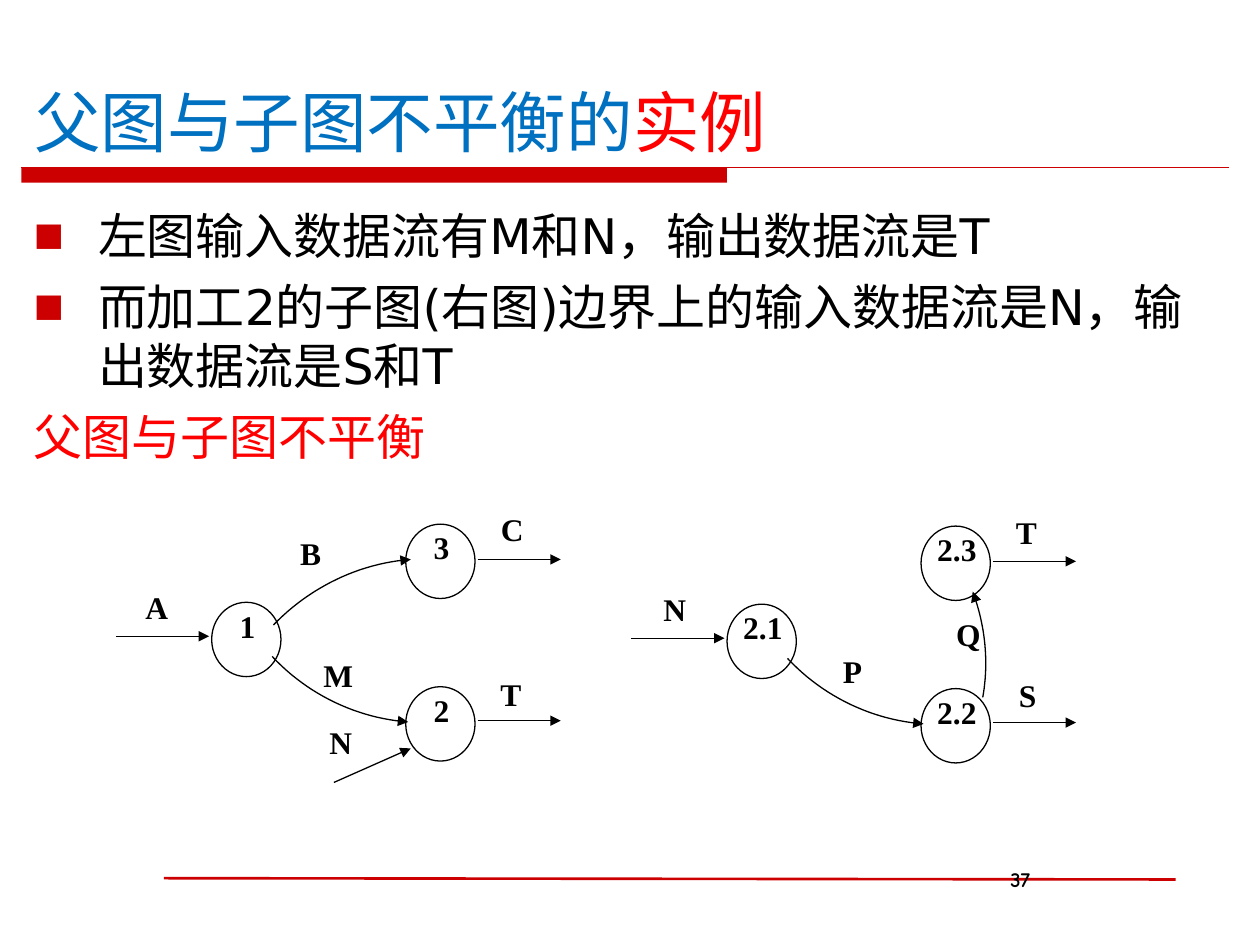
"""Build the slide on a parent diagram that does not balance with its child diagram."""
from dataclasses import dataclass

from lxml.etree import SubElement
from pptx import Presentation
from pptx.dml.color import RGBColor
from pptx.enum.shapes import MSO_CONNECTOR as Connector, MSO_SHAPE as Preset
from pptx.enum.text import MSO_ANCHOR as Anchor, PP_ALIGN as Align
from pptx.oxml.ns import qn
from pptx.util import Inches, Pt

SLIDE_W, SLIDE_H = Inches(10), Inches(7.5)
COLUMNS = 100
CELL = SLIDE_W // COLUMNS

RED = RGBColor(0xCC, 0x00, 0x00)
ACCENT = RGBColor(0xFF, 0x00, 0x00)
BLUE = RGBColor(0x00, 0x70, 0xC0)
BLACK = RGBColor(0x00, 0x00, 0x00)

TITLE_FONT, BODY_FONT = "Noto Sans CJK SC", "DejaVu Sans"
NUMBER_FONT, DIAGRAM_FONT = "Comic Neue", "Times New Roman"

Point = tuple[float, float]


@dataclass(frozen=True)
class Label:
    text: str
    corner: Point


@dataclass(frozen=True)
class Arrow:
    start: Point
    end: Point


@dataclass(frozen=True)
class Curve:
    start: Point
    bend_in: Point
    bend_out: Point
    end: Point

    def points(self, steps: int = 24) -> list[Point]:
        """Sample the cubic curve evenly."""
        controls = (self.start, self.bend_in, self.bend_out, self.end)
        sampled = []
        for step in range(steps + 1):
            t = step / steps
            weights = ((1 - t) ** 3, 3 * t * (1 - t) ** 2, 3 * t * t * (1 - t), t ** 3)
            sampled.append(tuple(sum(w * c[axis] for w, c in zip(weights, controls))
                                 for axis in (0, 1)))
        return sampled


@dataclass(frozen=True)
class Diagram:
    origin: Point
    processes: tuple[str, str, str]
    flows: tuple[Label, ...]
    curve: Curve
    arrows: tuple[Arrow, ...] = ()


PROCESS_CORNERS = ((16.8, 47.8), (32.2, 54.5), (32.2, 41.6))
SHARED_ARROWS = (Arrow((9.2, 50.5), (16.6, 50.5)),
                 Arrow((37.9, 57.2), (44.5, 57.2)),
                 Arrow((37.9, 44.4), (44.5, 44.4)))
LOWER_CURVE = Curve((21.6, 52.1), (24.5, 55.2), (28.4, 57), (32.4, 57.3))

DIAGRAMS = (
    Diagram((0, 0), ("1", "2", "3"),
            (Label("A", (10, 46.2)), Label("B", (22.2, 41.9)), Label("C", (38.2, 40)),
             Label("M", (24.4, 51.6)), Label("N", (24.6, 56.9)), Label("T", (38.1, 53.1))),
            Curve((21.7, 49.6), (24.6, 46.6), (28.5, 44.7), (32.6, 44.4)),
            (Arrow((26.5, 62.1), (32.6, 59.4)),)),
    Diagram((40.9, 0.15), ("2.1", "2.2", "2.3"),
            (Label("N", (10.2, 46.2)), Label("P", (24.3, 51.1)), Label("S", (38.2, 53)),
             Label("T", (38.1, 40.1)), Label("Q", (33.5, 48.2))),
            Curve((37.1, 55.2), (37.6, 52.4), (37.3, 49.5), (36.3, 46.8))),
)


def grid(*cells: float) -> list[int]:
    """Turn grid cells into lengths."""
    return [round(cell * CELL) for cell in cells]


def shift(point: Point, origin: Point) -> Point:
    """Move a point by a diagram's origin."""
    return point[0] + origin[0], point[1] + origin[1]


def add_run(paragraph, text: str, font: str, size: float, color: RGBColor,
            bold: bool = False) -> None:
    """Add one formatted run."""
    run = paragraph.add_run()
    run.text = text
    run.font.name, run.font.size, run.font.bold = font, Pt(size), bold
    run.font.color.rgb = color
    SubElement(run._r.get_or_add_rPr(), qn("a:ea")).set("typeface", font)


def add_frame(slide, corner: Point, size: Point):
    """Add a wrapping text box and return its frame."""
    frame = slide.shapes.add_textbox(*grid(*corner, *size)).text_frame
    frame.word_wrap = True
    return frame


def add_label(slide, text: str, corner: Point, size: Point) -> None:
    """Add a centred bold diagram label."""
    paragraph = add_frame(slide, corner, size).paragraphs[0]
    paragraph.alignment = Align.CENTER
    add_run(paragraph, text, DIAGRAM_FONT, 18, BLACK, bold=True)


def style_line(shape, color: RGBColor, width: float, arrow: bool = False) -> None:
    """Colour an outline and optionally end it in an arrowhead."""
    shape.line.color.rgb = color
    shape.line.width = Pt(width)
    if arrow:
        SubElement(shape.line._get_or_add_ln(), qn("a:tailEnd")).set("type", "triangle")


def add_line(slide, start: Point, end: Point, color: RGBColor, width: float,
             arrow: bool = False) -> None:
    """Draw a straight line without a shadow."""
    line = slide.shapes.add_connector(Connector.STRAIGHT, *grid(*start, *end))
    style_line(line, color, width, arrow)
    SubElement(line._element.spPr, qn("a:effectLst"))


def add_curve(slide, curve: Curve, origin: Point) -> None:
    """Draw a curved flow with an arrowhead."""
    first, *rest = [tuple(grid(*shift(point, origin))) for point in curve.points()]
    builder = slide.shapes.build_freeform(*first, scale=1.0)
    builder.add_line_segments(rest, close=False)
    flow = builder.convert_to_shape()
    flow.fill.background()
    style_line(flow, BLACK, 0.75, arrow=True)
    flow.shadow.inherit = False


def add_diagram(slide, diagram: Diagram) -> None:
    """Draw the processes, flows and flow names of one diagram."""
    for name, corner in zip(diagram.processes, PROCESS_CORNERS):
        left, top = shift(corner, diagram.origin)
        add_label(slide, name, (left, top - 0.15), (5.7, 5.2))
        circle = slide.shapes.add_shape(Preset.OVAL, *grid(left, top, 5.5, 5.9))
        circle.fill.background()
        style_line(circle, BLACK, 0.75)
        circle.shadow.inherit = False
    for curve in (diagram.curve, LOWER_CURVE):
        add_curve(slide, curve, diagram.origin)
    for arrow in SHARED_ARROWS + diagram.arrows:
        add_line(slide, shift(arrow.start, diagram.origin),
                 shift(arrow.end, diagram.origin), BLACK, 0.75, arrow=True)
    for flow in diagram.flows:
        add_label(slide, flow.text, shift(flow.corner, diagram.origin), (4.9, 4.9))


def add_rules(slide) -> None:
    """Draw the title bar and the two red rules."""
    bar = slide.shapes.add_shape(Preset.RECTANGLE, *grid(1.7, 13.3, 56, 1.2))
    bar.fill.solid()
    bar.fill.fore_color.rgb = RED
    bar.line.fill.background()
    bar.shadow.inherit = False
    add_line(slide, (1.7, 13.3), (97.5, 13.3), RED, 0.75)
    add_line(slide, (13, 69.7), (93.3, 69.8), RED, 1.5)


def fill_title(slide) -> None:
    """Place and fill the title placeholder."""
    title = slide.shapes.title
    title.left, title.top, title.width, title.height = grid(1.7, 6, 97.5, 7.3)
    title.text_frame.vertical_anchor = Anchor.BOTTOM
    paragraph = title.text_frame.paragraphs[0]
    paragraph.alignment = Align.LEFT
    add_run(paragraph, "父图与子图不平衡的", TITLE_FONT, 38, BLUE)
    add_run(paragraph, "实例", TITLE_FONT, 38, ACCENT)


def add_bullet(paragraph) -> None:
    """Give a paragraph a red square bullet."""
    properties = paragraph._p.get_or_add_pPr()
    color = SubElement(SubElement(properties, qn("a:buClr")), qn("a:srgbClr"))
    color.set("val", str(RED))
    SubElement(properties, qn("a:buSzPct")).set("val", "65000")
    SubElement(properties, qn("a:buFont")).set("typeface", BODY_FONT)
    SubElement(properties, qn("a:buChar")).set("char", "■")


def add_body(slide) -> None:
    """Add the two bulleted statements and the conclusion."""
    frame = add_frame(slide, (1.7, 15.8), (96.7, 53.3))
    statements = (("左图输入数据流有M和N，输出数据流是T", BLACK, True),
                  ("而加工2的子图(右图)边界上的输入数据流是N，输出数据流是S和T", BLACK, True),
                  ("父图与子图不平衡", ACCENT, False))
    for index, (text, color, bulleted) in enumerate(statements):
        paragraph = frame.add_paragraph() if index else frame.paragraphs[0]
        if index:
            paragraph.space_before = Pt(7)
        properties = paragraph._p.get_or_add_pPr()
        properties.set("marL", str(Inches(0.51)))
        properties.set("indent", str(-Inches(0.51)))
        if bulleted:
            add_bullet(paragraph)
        add_run(paragraph, text, BODY_FONT, 28, color)


def main() -> None:
    """Assemble and save the slide."""
    deck = Presentation()
    deck.slide_width, deck.slide_height = SLIDE_W, SLIDE_H
    slide = deck.slides.add_slide(deck.slide_layouts[5])
    add_rules(slide)
    fill_title(slide)
    add_body(slide)
    number = add_frame(slide, (79.2, 68.3), (20.8, 5)).paragraphs[0]
    add_run(number, "37", NUMBER_FONT, 12, BLACK, bold=True)
    for diagram in DIAGRAMS:
        add_diagram(slide, diagram)
    deck.save("out.pptx")


if __name__ == "__main__":
    main()
